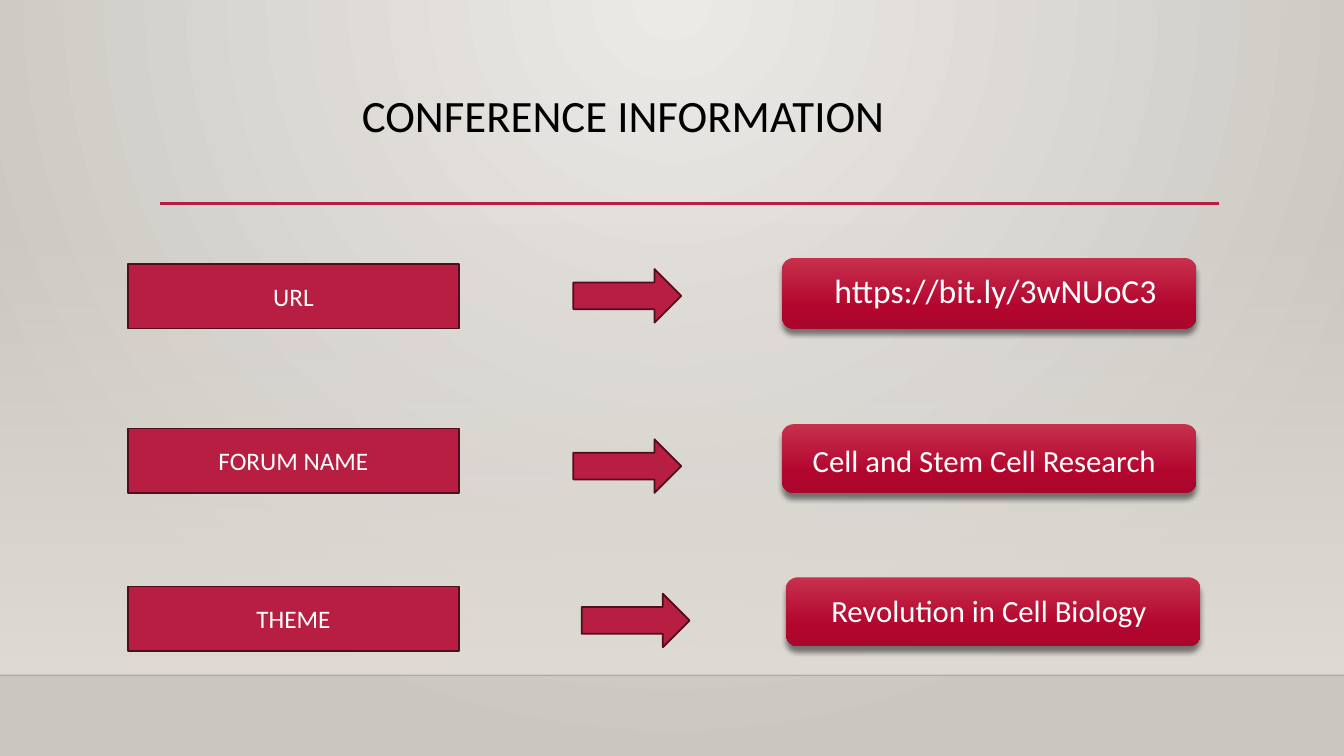
from pptx import Presentation, oxml, util as u
from pptx.dml.color import RGBColor
from pptx.enum import shapes, text
from pptx.oxml.ns import nsdecls, qn

FONT = "Calibri"
CRIMSON = RGBColor(0xB7, 0x1E, 0x42)
MAROON = RGBColor(0x50, 0x0D, 0x1D)
WHITE = RGBColor(0xFF, 0xFF, 0xFF)
BLACK = RGBColor(0x00, 0x00, 0x00)
PALE = RGBColor(0xEC, 0xEA, 0xE7)
GREY = RGBColor(0xCA, 0xC7, 0xC1)
SAND = RGBColor(0xDF, 0xDB, 0xD5)
CARD_TOP = RGBColor(0xC7, 0x30, 0x4C)
CARD_MID = RGBColor(0xB3, 0x06, 0x2F)
CARD_END = RGBColor(0xAA, 0x06, 0x2C)

DOWN = '<a:lin ang="5400000" scaled="0"/>'
RADIAL = ('<a:path path="circle"><a:fillToRect l="43000" t="0" r="43000" '
          'b="100000"/></a:path>')
WIDTH, HEIGHT = 33.87, 19.05


def box(x, y, w, h):
    """Turn centimetres into slide lengths."""
    return [u.Cm(v) for v in (x, y, w, h)]


def alpha(percent):
    """Return the XML for an opacity."""
    return f'<a:alpha val="{percent * 1000}"/>'


def set_gradient(fill, parent, stops, direction):
    """Give the parent of a fill a gradient of (position, colour, opacity) stops."""
    fill.background()
    marks = "".join(
        f'<a:gs pos="{pos * 1000}"><a:srgbClr val="{colour}">{alpha(opacity)}</a:srgbClr></a:gs>'
        for pos, colour, opacity in stops)
    grad = oxml.parse_xml(
        f'<a:gradFill {nsdecls("a")} rotWithShape="1"><a:gsLst>{marks}</a:gsLst>'
        f'{direction}</a:gradFill>')
    parent.replace(parent.find(qn("a:noFill")), grad)


def add_run(tf, words, size, colour, align=text.PP_ALIGN.LEFT, indent=0, spacing=1.0):
    """Write one run in the first paragraph of a text frame."""
    tf.word_wrap = True
    p = tf.paragraphs[0]
    p.alignment = align
    p.line_spacing = spacing
    if indent:
        pPr = p._p.get_or_add_pPr()
        pPr.set("marL", str(u.Cm(indent)))
        pPr.set("indent", "0")
    r = p.add_run()
    r.text = words
    r.font.name, r.font.size = FONT, u.Pt(size)
    r.font.color.rgb = colour


def add_rule(s, x, y, w, colour, weight, opacity=100):
    """Draw a horizontal rule."""
    cx = s.shapes.add_connector(shapes.MSO_CONNECTOR.STRAIGHT,
                                u.Cm(x), u.Cm(y), u.Cm(x + w), u.Cm(y))
    cx.line.color.rgb, cx.line.width = colour, u.Pt(weight)
    spPr = cx._element.spPr
    spPr.find(".//" + qn("a:srgbClr")).append(
        oxml.parse_xml(f'<a:alpha {nsdecls("a")} val="{opacity * 1000}"/>'))
    spPr.append(oxml.parse_xml(f'<a:effectLst {nsdecls("a")}/>'))


def add_backdrop(s, y, h):
    """Paint the background and the fading wall above the floor line."""
    fill = s.background.fill
    fill.background()
    set_gradient(fill, s.element.find(".//" + qn("p:bgPr")),
                 [(0, PALE, 100), (100, GREY, 100)], RADIAL)
    sp = s.shapes.add_shape(shapes.MSO_SHAPE.RECTANGLE, *box(0, y, WIDTH, h))
    sp.shadow.inherit = False
    sp.line.fill.background()
    set_gradient(sp.fill, sp._element.spPr, [(0, SAND, 0), (100, SAND, 100)], DOWN)
    add_rule(s, 0, y + h, WIDTH, BLACK, 1, 20)


def add_title(s, x, y, w, h, words):
    """Place the heading and the rule beneath it."""
    add_rule(s, x, y + h - 0.03, w, CRIMSON, 2.5)
    tb = s.shapes.add_textbox(*box(x, y, w, h))
    add_run(tb.text_frame, words, 32, BLACK, indent=4.83, spacing=0.9)


def add_solid(s, kind, x, y, w, h):
    """Draw a crimson shape with a maroon outline."""
    sp = s.shapes.add_shape(kind, *box(x, y, w, h))
    sp.shadow.inherit = False
    sp.fill.solid()
    sp.fill.fore_color.rgb = CRIMSON
    sp.line.color.rgb, sp.line.width = MAROON, u.Pt(1.25)
    return sp


def add_label(s, x, y, w, h, words):
    """Draw a label box with centred text."""
    tf = add_solid(s, shapes.MSO_SHAPE.RECTANGLE, x, y, w, h).text_frame
    tf.vertical_anchor = text.MSO_ANCHOR.MIDDLE
    add_run(tf, words, 18, WHITE, text.PP_ALIGN.CENTER)


def add_card(s, x, y, w, h, words, size, indent, dx, dy):
    """Draw a shaded card grouped with its text, offset by dx and dy."""
    group = s.shapes.add_group_shape()
    sp = group.shapes.add_shape(shapes.MSO_SHAPE.ROUNDED_RECTANGLE, *box(x, y, w, h))
    sp.line.fill.background()
    sp.shadow.inherit = False
    spPr = sp._element.spPr
    set_gradient(sp.fill, spPr,
                 [(0, CARD_TOP, 100), (69, CARD_MID, 100), (100, CARD_END, 100)], DOWN)
    spPr.find(qn("a:effectLst")).append(oxml.parse_xml(
        f'<a:outerShdw {nsdecls("a")} blurRad="{u.Pt(4)}" dist="{u.Pt(4)}" dir="5400000" '
        f'rotWithShape="0"><a:srgbClr val="{BLACK}">{alpha(48)}</a:srgbClr></a:outerShdw>'))
    tf = group.shapes.add_textbox(*box(x + dx, y + dy, w - 0.18, h - 0.17)).text_frame
    tf.vertical_anchor = text.MSO_ANCHOR.MIDDLE
    tf.margin_left = tf.margin_right = tf.margin_top = tf.margin_bottom = u.Cm(0.27)
    add_run(tf, words, size, WHITE, indent=indent, spacing=0.9)


def main():
    """Build the conference slide."""
    prs = Presentation()
    prs.slide_width, prs.slide_height = u.Cm(WIDTH), u.Cm(HEIGHT)
    s = prs.slides.add_slide(prs.slide_layouts[6])
    add_backdrop(s, 5.61, 11.41)
    add_title(s, 4.04, 2.24, 26.67, 2.92, "CONFERENCE INFORMATION")
    rows = [
        (6.65, "URL", (14.45, 6.78),
         (19.71, 6.5, 10.44, 1.78, "https://bit.ly/3wNUoC3", 24, 0.95, 0.1, 0.08)),
        (10.8, "FORUM NAME", (14.45, 11.07),
         (19.71, 10.69, 10.44, 1.73, "Cell and Stem Cell Research", 22, 0.32, 0.18, 0.18)),
        (14.78, "THEME", (14.66, 14.96),
         (19.81, 14.55, 10.44, 1.73, "Revolution in Cell Biology", 22, 0.72, 0.15, 0.1)),
    ]
    for y, label, arrow, card in rows:
        add_label(s, 3.23, y, 8.33, 1.63, label)
        add_solid(s, shapes.MSO_SHAPE.RIGHT_ARROW, *arrow, 2.72, 1.35)
        add_card(s, *card)
    prs.save("out.pptx")


if __name__ == "__main__":
    main()
